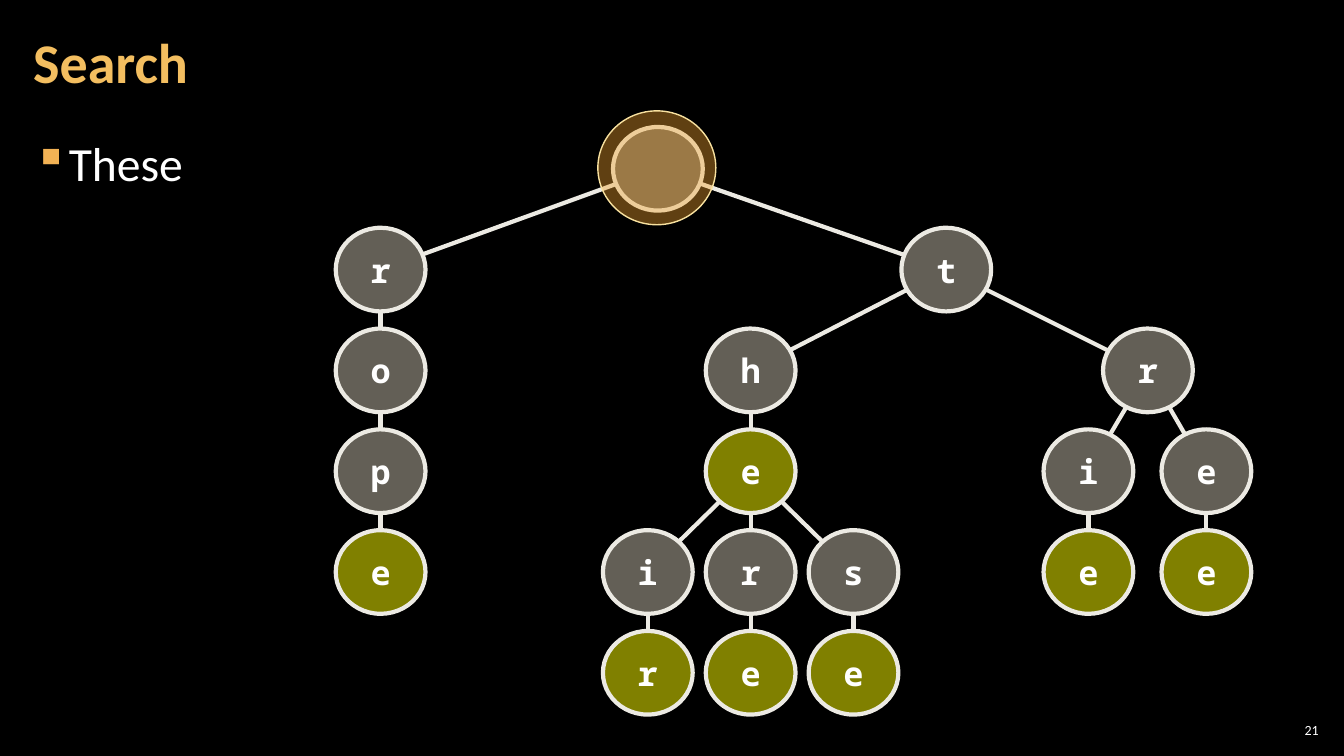
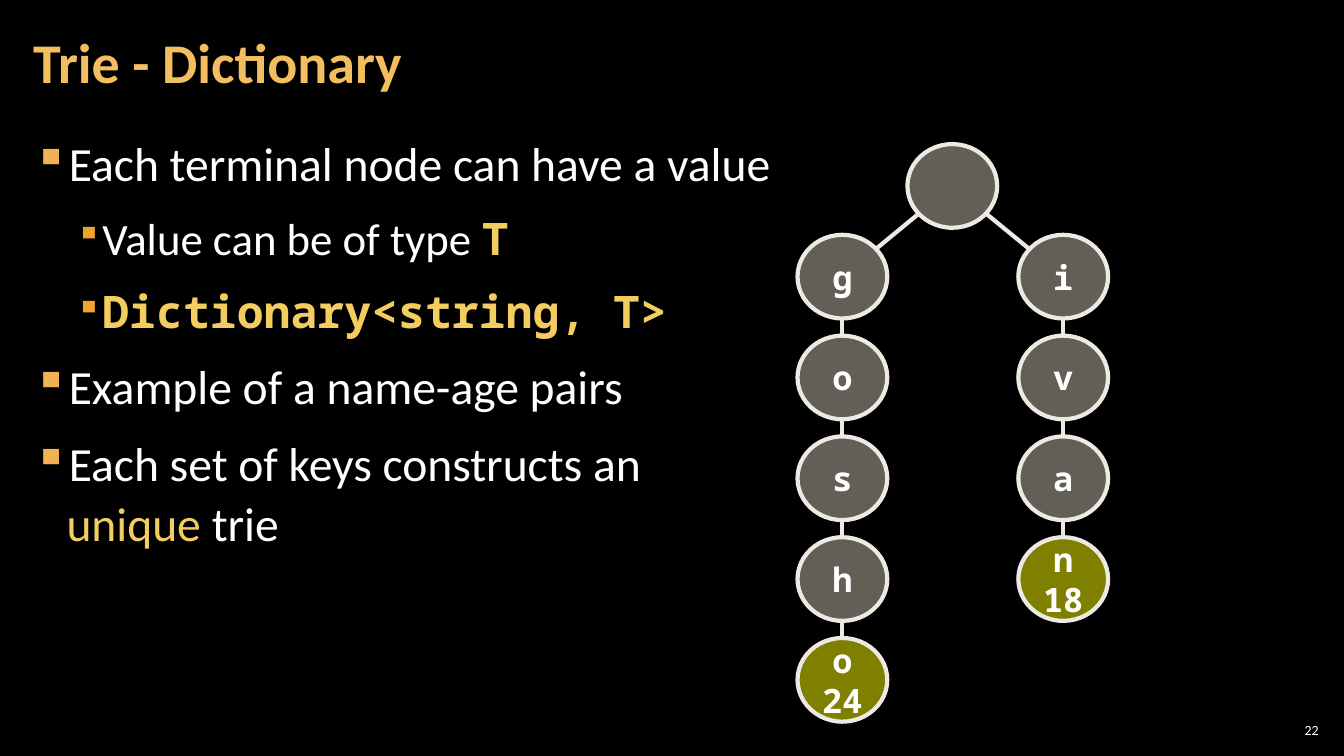
import math
from dataclasses import dataclass

from lxml import etree
from pptx import Presentation
from pptx.dml.color import RGBColor
from pptx.enum import shapes, text
from pptx.oxml.ns import qn
from pptx.util import Inches, Pt

BLACK = RGBColor(0x00, 0x00, 0x00)
WHITE = RGBColor(0xFF, 0xFF, 0xFF)
TITLE_GOLD = RGBColor(0xF3, 0xBE, 0x60)
ACCENT_GOLD = RGBColor(0xF3, 0xCD, 0x60)
NODE_GREY = RGBColor(0xC7, 0xBF, 0xAC)
TERMINAL_YELLOW = RGBColor(0xFF, 0xFF, 0x00)
OUTLINE = RGBColor(0xEC, 0xEA, 0xE3)
HALO_FILL = RGBColor(0xF0, 0xA2, 0x2E)
HALO_LINE = RGBColor(0xF8, 0xE1, 0x9F)

SANS = "Calibri"
MONO = "Noto Sans Mono"
NODE_W, NODE_H = 0.89, 0.83
ROW_STEP = 1.0

TITLE_BOX = (0.21, 0.04, 10.47, 1.21)
BODY_BOX = (0.21, 1.26, 12.91, 6.09)
NUMBER_BOX = (12.65, 7.14, 0.47, 0.21)

# Per level: left margin, hanging indent, text size, bullet colour, bullet percent
LEVELS = [
    (0.33, 0.33, 34, "F2B254", 100),
    (0.67, 0.25, 32, "F0A22E", 80),
]
CODE = {"name": MONO, "bold": True, "color": ACCENT_GOLD}
HIGHLIGHT = {"color": ACCENT_GOLD}


@dataclass
class Node:
    """A trie node; x is the left edge of its circle within the trie."""
    label: str
    x: float
    children: tuple = ()
    terminal: bool = False


def chain(labels, x):
    """Vertical run of nodes that ends in a terminal node."""
    node = Node(labels[-1], x, terminal=True)
    for label in reversed(labels[:-1]):
        node = Node(label, x, (node,))
    return node


def set_font(font, size=None, color=None, name=None, bold=None):
    if size:
        font.size = Pt(size)
    if color is not None:
        font.color.rgb = color
    if name:
        font.name = name
    if bold is not None:
        font.bold = bold


def add_text_frame(slide, box, inset_x=0.12, anchor=text.MSO_ANCHOR.MIDDLE):
    frame = slide.shapes.add_textbox(*map(Inches, box)).text_frame
    frame.word_wrap = True
    frame.vertical_anchor = anchor
    frame.margin_left = frame.margin_right = Inches(inset_x)
    frame.margin_top = frame.margin_bottom = Inches(0.04)
    return frame


def add_title(slide, box, title):
    line = add_text_frame(slide, box).paragraphs[0]
    line.text = title
    line.line_spacing = 0.9
    set_font(line.font, 40, TITLE_GOLD, SANS, True)


def add_slide_number(slide, box, number):
    line = add_text_frame(slide, box, 0.04).paragraphs[0]
    line.text = str(number)
    line.alignment = text.PP_ALIGN.RIGHT
    set_font(line.font, 10, WHITE, SANS)


def set_bullet(paragraph, margin, hanging, color, percent):
    props = paragraph._p.get_or_add_pPr()
    props.set("marL", str(Inches(margin)))
    props.set("indent", str(-Inches(hanging)))
    bullet_color = etree.SubElement(props, qn("a:buClr"))
    etree.SubElement(bullet_color, qn("a:srgbClr"), val=color)
    etree.SubElement(props, qn("a:buSzPct"), val=str(percent * 1000))
    etree.SubElement(props, qn("a:buChar"), char="▪")


def add_bullets(slide, box, bullets):
    """Each bullet is (level, [(words, font changes), ...]); "\\n" breaks the line."""
    frame = add_text_frame(slide, box, anchor=text.MSO_ANCHOR.TOP)
    for index, (level, runs) in enumerate(bullets):
        paragraph = frame.add_paragraph() if index else frame.paragraphs[0]
        margin, hanging, size, color, percent = LEVELS[level]
        paragraph.level = level
        paragraph.line_spacing = 1.05
        paragraph.space_before = paragraph.space_after = Pt(6)
        set_bullet(paragraph, margin, hanging, color, percent)
        set_font(paragraph.font, size, WHITE, SANS)
        for words, changes in runs:
            if words == "\n":
                paragraph.add_line_break()
                continue
            run = paragraph.add_run()
            run.text = words
            set_font(run.font, **changes)


def add_ellipse(slide, box, fill, opacity, outline, weight):
    ellipse = slide.shapes.add_shape(shapes.MSO_SHAPE.OVAL, *map(Inches, box))
    ellipse.shadow.inherit = False
    ellipse.fill.solid()
    ellipse.fill.fore_color.rgb = fill
    fill_color = ellipse.element.spPr.find(qn("a:solidFill"))[0]
    etree.SubElement(fill_color, qn("a:alpha"), val=str(opacity * 1000))
    ellipse.line.color.rgb = outline
    ellipse.line.width = Pt(weight)
    return ellipse


def add_node(slide, left, top, node):
    fill = TERMINAL_YELLOW if node.terminal else NODE_GREY
    circle = add_ellipse(slide, (left, top, NODE_W, NODE_H), fill, 50, OUTLINE, 3)
    if not node.label:
        return
    frame = circle.text_frame
    frame.word_wrap = False
    frame.vertical_anchor = text.MSO_ANCHOR.MIDDLE
    frame.text = node.label
    for line in frame.paragraphs:
        line.alignment = text.PP_ALIGN.CENTER
        set_font(line.font, 24, WHITE, MONO, True)


def add_edge(slide, parent, child):
    """Join two circles, given by their top left corners, from rim to rim."""
    dx, dy = child[0] - parent[0], child[1] - parent[1]
    rim = 0.5 / math.hypot(dx / NODE_W, dy / NODE_H)
    x, y = parent[0] + NODE_W / 2, parent[1] + NODE_H / 2
    ends = [(x + dx * t, y + dy * t) for t in (rim, 1 - rim)]
    edge = slide.shapes.add_connector(
        shapes.MSO_CONNECTOR.STRAIGHT, *(Inches(v) for end in ends for v in end))
    edge.line.color.rgb = OUTLINE
    edge.line.width = Pt(3)
    etree.SubElement(edge.element.spPr, qn("a:effectLst"))


def add_trie(slide, left, top, node, step=ROW_STEP):
    """Draw node and all below it; step is the drop to its children."""
    corner = (left + node.x, top)
    add_node(slide, *corner, node)
    for child in node.children:
        add_trie(slide, left, top + step, child)
        add_edge(slide, corner, (left + child.x, top + step))


def add_base_slide(prs, title, number, bullets):
    slide = prs.slides.add_slide(prs.slide_layouts[6])
    slide.background.fill.solid()
    slide.background.fill.fore_color.rgb = BLACK
    add_bullets(slide, BODY_BOX, bullets)
    add_slide_number(slide, NUMBER_BOX, number)
    add_title(slide, TITLE_BOX, title)
    return slide


def add_search_slide(prs):
    slide = add_base_slide(prs, "Search", 21, [(0, [("These", {})])])
    the = Node("e", 3.67, (chain("ir", 2.65), chain("re", 3.67), chain("se", 4.69)), True)
    tr = Node("r", 7.61, (chain("ie", 7.02), chain("ee", 8.19)))
    t = Node("t", 5.61, (Node("h", 3.67, (the,)), tr))
    add_trie(slide, 3.33, 1.26, Node("", 2.75, (chain("rope", 0), t)))
    add_ellipse(slide, (5.93, 1.1, 1.17, 1.13), HALO_FILL, 40, HALO_LINE, 1)


def add_dictionary_slide(prs):
    slide = add_base_slide(prs, "Trie - Dictionary", 22, [
        (0, [("Each terminal node can have a value", {})]),
        (1, [("Value can be of type ", {}), ("T", CODE)]),
        (1, [("Dictionary<string, T>", CODE)]),
        (0, [("Example of a name-age pairs", {})]),
        (0, [("Each set of keys constructs an ", {}), ("\n", {}),
             ("unique", HIGHLIGHT), (" trie", {})]),
    ])
    gosho = chain([*"gosh", "o\n24"], 0)
    ivan = chain([*"iva", "n\n18"], 2.19)
    add_trie(slide, 7.91, 1.43, Node("", 1.09, (gosho, ivan)), step=0.9)


def main():
    prs = Presentation()
    prs.slide_width, prs.slide_height = Inches(13.33), Inches(7.5)
    add_search_slide(prs)
    add_dictionary_slide(prs)
    prs.save("out.pptx")


if __name__ == "__main__":
    main()
